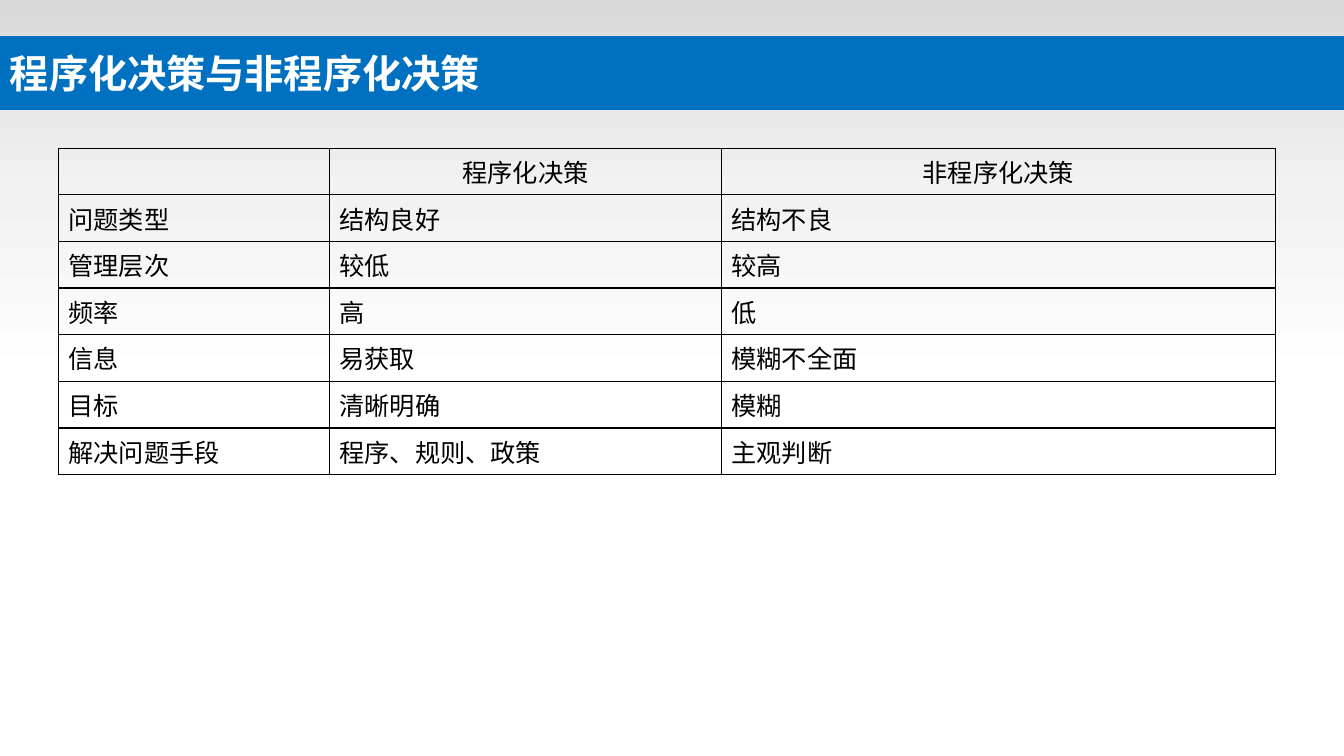
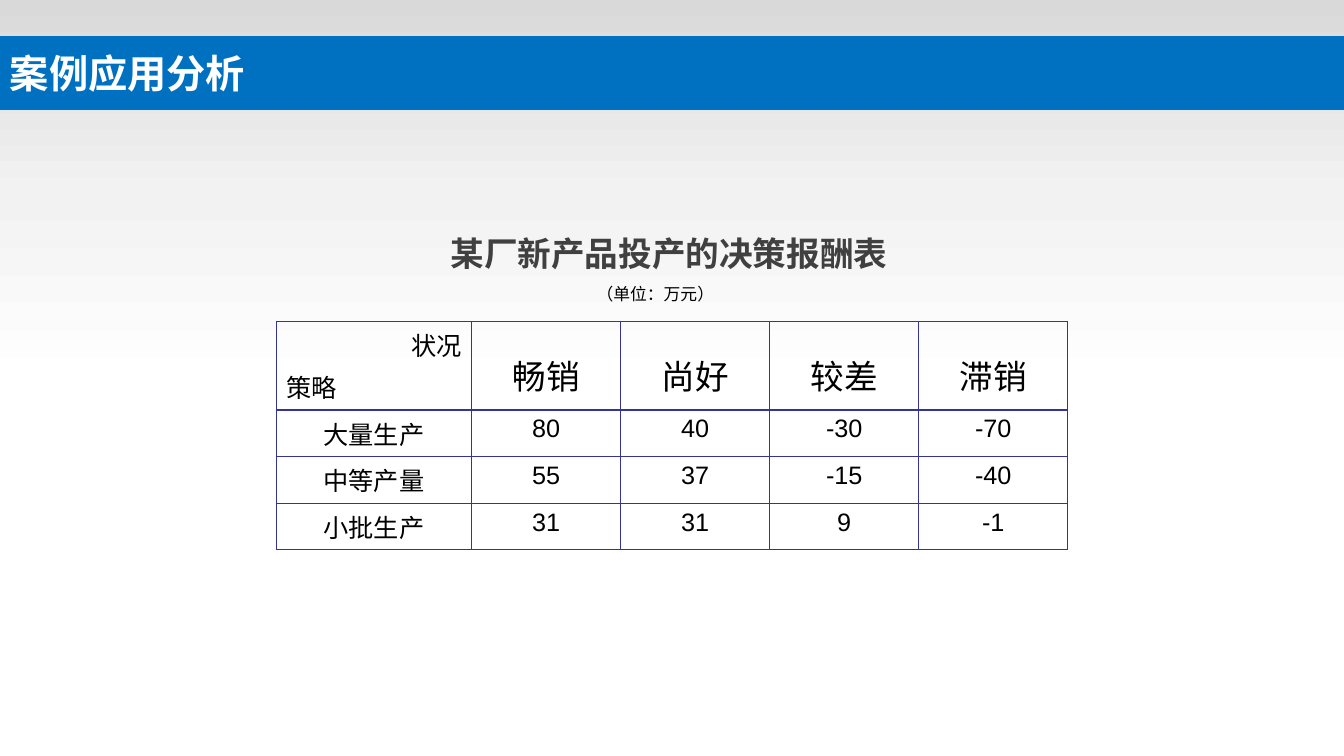
from lxml import etree
from pptx import Presentation
from pptx.dml.color import RGBColor
from pptx.enum.shapes import MSO_SHAPE
from pptx.enum.text import MSO_ANCHOR, PP_ALIGN
from pptx.oxml import parse_xml
from pptx.oxml.ns import qn
from pptx.util import Inches, Pt

RECT = MSO_SHAPE.RECTANGLE
MIDDLE = MSO_ANCHOR.MIDDLE
LEFT, CENTER, RIGHT = PP_ALIGN.LEFT, PP_ALIGN.CENTER, PP_ALIGN.RIGHT

NS = "http://schemas.openxmlformats.org/drawingml/2006/main"
WIDE, HIGH = Inches(13.33), Inches(7.5)
SANS, HAN = "Arial", "Noto Sans CJK SC"
BLUE, NAVY, WHITE, BLACK, GRAY = "0070C0", "333399", "FFFFFF", "000000", "404040"
FADE = ((0, "D9D9D9"), (50, "F2F2F2"), (100, "FFFFFF"))

# Boxes: left, top, width, height in percent of the slide
GLOW = (0, 0, 100, 51.07)
BAND = (0, 4.8, 100, 9.73)
GRID = (4.35, 19.6, 90.55, 43.2)
HEAD = (32.78, 30.13, 34.35, 6.67)
UNIT = (43.65, 36.93, 10.35, 4)
PAY = (20.55, 42.53, 58.9, 30.2)

KINDS = (
    ("", "程序化决策", "非程序化决策"),
    ("问题类型", "结构良好", "结构不良"),
    ("管理层次", "较低", "较高"),
    ("频率", "高", "低"),
    ("信息", "易获取", "模糊不全面"),
    ("目标", "清晰明确", "模糊"),
    ("解决问题手段", "程序、规则、政策", "主观判断"),
)
GAINS = (
    ("状况\n策略", "畅销", "尚好", "较差", "滞销"),
    ("大量生产", "80", "40", "-30", "-70"),
    ("中等产量", "55", "37", "-15", "-40"),
    ("小批生产", "31", "31", "9", "-1"),
)


def color(code):
    return RGBColor.from_string(code)


def place(box):
    x, y, w, h = box
    return (round(WIDE * x / 100), round(HIGH * y / 100),
            round(WIDE * w / 100), round(HIGH * h / 100))


def style(para, size, code, bold=False, font=SANS, align=LEFT):
    para.alignment = align
    for run in para.runs:
        run.font.size = Pt(size)
        run.font.bold = bold
        run.font.name = font
        run.font.color.rgb = color(code)
        east = etree.SubElement(run.font._element, qn("a:ea"))
        east.set("typeface", HAN)


def panel(slide, box):
    shape = slide.shapes.add_shape(RECT, *place(box))
    shape.shadow.inherit = False
    shape.line.fill.background()
    return shape


def base(deck, title):
    slide = deck.slides.add_slide(deck.slide_layouts[6])
    # Soft gradient behind the upper half
    fill = panel(slide, GLOW).fill
    fill.gradient()
    fill.gradient_angle = 270
    stops = fill.gradient_stops._gsLst
    for old in list(stops):
        stops.remove(old)
    for pos, code in FADE:
        stops.append(parse_xml(
            f'<a:gs xmlns:a="{NS}" pos="{pos * 1000}"><a:srgbClr val="{code}"/></a:gs>'))
    # Title band
    band = panel(slide, BAND)
    band.fill.solid()
    band.fill.fore_color.rgb = color(BLUE)
    frame = band.text_frame
    frame.text = title
    frame.vertical_anchor = MIDDLE
    style(frame.paragraphs[0], 28, WHITE, True, HAN)
    return slide


def label(slide, box, text, size, code, bold=False):
    frame = slide.shapes.add_textbox(*place(box)).text_frame
    frame.word_wrap = False
    frame.text = text
    style(frame.paragraphs[0], size, code, bold)


def border(cell, code):
    props = cell._tc.get_or_add_tcPr()
    for side in "LRTB":
        props.append(parse_xml(
            f'<a:ln{side} xmlns:a="{NS}" w="12700"><a:solidFill>'
            f'<a:srgbClr val="{code}"/></a:solidFill></a:ln{side}>'))


def table(slide, box, data, cols, rows, edge):
    """Draw a grid whose columns and rows share the box by weight."""
    x, y, w, h = place(box)
    grid = slide.shapes.add_table(len(rows), len(cols), x, y, w, h).table
    grid.first_row = grid.horz_banding = False
    for col, part in zip(grid.columns, cols):
        col.width = round(w * part / sum(cols))
    for row, part in zip(grid.rows, rows):
        row.height = round(h * part / sum(rows))
    for r, line in enumerate(data):
        for c, text in enumerate(line):
            cell = grid.cell(r, c)
            border(cell, edge)
            cell.fill.background()
            cell.text_frame.text = text
            for para in cell.text_frame.paragraphs:
                style(para, 18, BLACK, align=CENTER)
    return grid


def compare(deck):
    slide = base(deck, "程序化决策与非程序化决策")
    grid = table(slide, GRID, KINDS, (2.69, 3.89, 5.5), [1] * 7, BLACK)
    # Body cells read from the left
    for r in range(1, len(KINDS)):
        for c in range(len(KINDS[0])):
            grid.cell(r, c).text_frame.paragraphs[0].alignment = LEFT


def payoff(deck):
    slide = base(deck, "案例应用分析")
    grid = table(slide, PAY, GAINS, (1.94, 1.48, 1.48, 1.48, 1.48),
                 (1.9, 1, 1, 1), NAVY)
    # Corner cell names both axes
    top, low = grid.cell(0, 0).text_frame.paragraphs
    top.alignment, low.alignment = RIGHT, LEFT
    low.space_before = Pt(3.6)
    # Larger market headings
    for c in range(1, len(GAINS[0])):
        para = grid.cell(0, c).text_frame.paragraphs[0]
        para.line_spacing = 1.5
        para.runs[0].font.size = Pt(24)
    # Caption and unit
    label(slide, HEAD, "某厂新产品投产的决策报酬表", 24, GRAY, True)
    label(slide, UNIT, "（单位：万元）", 12, BLACK)


def main():
    deck = Presentation()
    deck.slide_width, deck.slide_height = WIDE, HIGH
    compare(deck)
    payoff(deck)
    deck.save("out.pptx")


if __name__ == "__main__":
    main()
